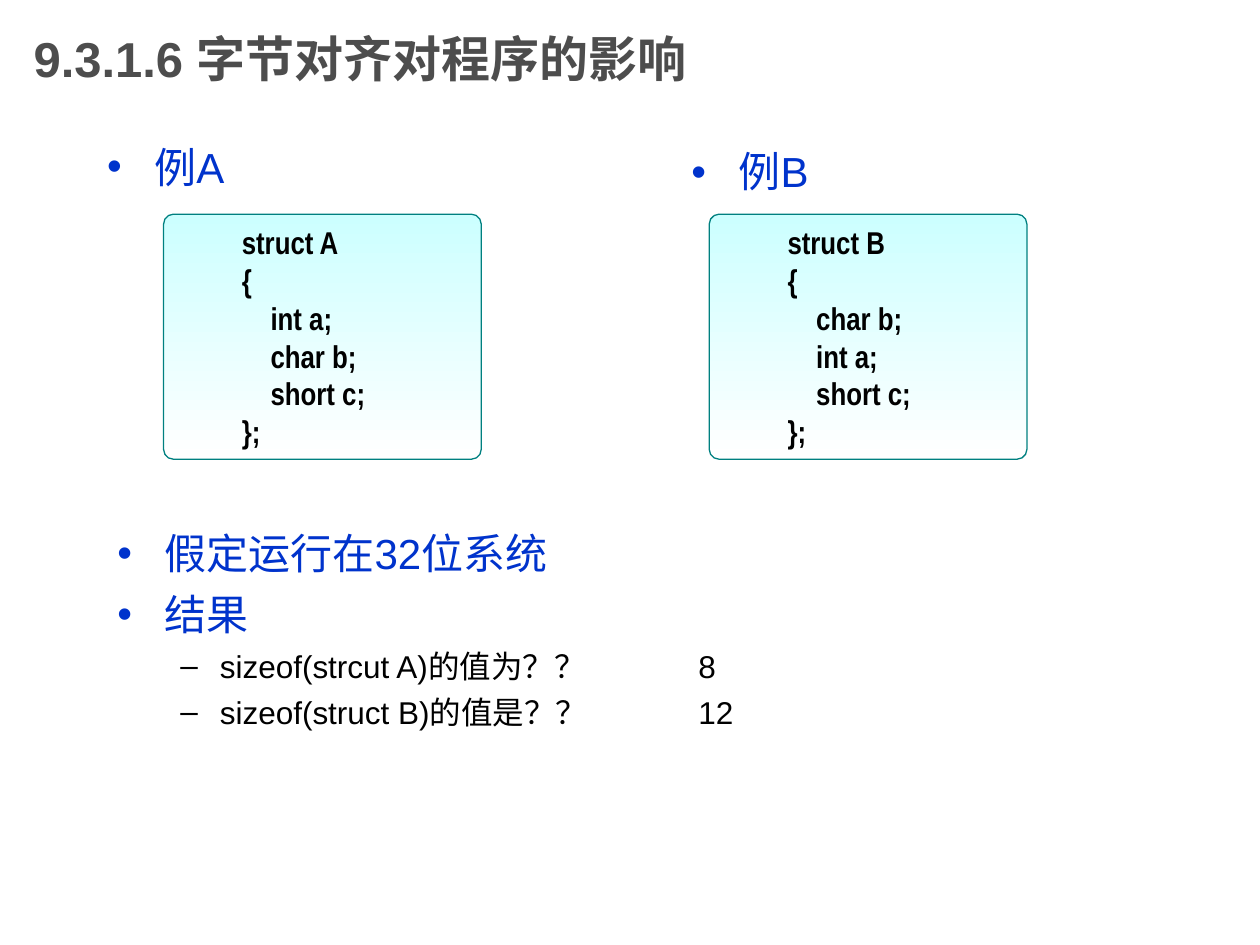
from lxml.etree import SubElement
from pptx import Presentation
from pptx.dml.color import RGBColor
from pptx.enum.shapes import MSO_SHAPE as Preset
from pptx.enum.text import MSO_ANCHOR as Anchor, MSO_AUTO_SIZE as AutoSize, PP_ALIGN as Align
from pptx.oxml.ns import qn
from pptx.util import Pt

COLORS = {
    "title": "4D4D4D",
    "topic": "0033CC",
    "text": "000000",
    "code_top": "CCFFFF",
    "code_bottom": "FFFFFF",
    "code_border": "008080",
}
# Per list level: bullet, left margin, hanging indent, size, space before, colour
LEVELS = [
    ("•", 27, 27, 24, 6, "topic"),
    ("–", 58.5, 22.5, 18, 4.5, "text"),
]
ANSWER_TAB = 332
CODE_INDENT = 36


def rgb(key):
    return RGBColor.from_string(COLORS[key])


class LessonSlide:
    def __init__(self, deck):
        self.slide = deck.slides.add_slide(deck.slide_layouts[1])

    def place(self, shape, left, top, width, height):
        shape.left, shape.top = Pt(left), Pt(top)
        shape.width, shape.height = Pt(width), Pt(height)

    def prepare(self, frame, anchor=Anchor.TOP):
        frame.word_wrap = True
        frame.auto_size = AutoSize.NONE
        frame.vertical_anchor = anchor
        frame.margin_left = frame.margin_right = Pt(7.2)
        frame.margin_top = frame.margin_bottom = Pt(3.6)

    def style(self, paragraph, size, color, name="Arial", bold=False):
        paragraph.alignment = Align.LEFT
        font = paragraph.font
        font.name, font.size, font.bold = name, Pt(size), bold
        font.color.rgb = rgb(color)

    def title(self, text, box):
        heading = self.slide.shapes.title
        self.place(heading, *box)
        self.prepare(heading.text_frame, Anchor.MIDDLE)
        heading.text_frame.text = text
        self.style(heading.text_frame.paragraphs[0], 28, "title", bold=True)

    def add_bullet(self, paragraph, level):
        bullet, margin, hanging, _, _, color = LEVELS[level]
        props = paragraph._p.get_or_add_pPr()
        props.set("marL", str(Pt(margin)))
        props.set("indent", str(-Pt(hanging)))
        bullet_color = SubElement(props, qn("a:buClr"))
        SubElement(bullet_color, qn("a:srgbClr"), val=COLORS[color])
        SubElement(props, qn("a:buFont"), typeface="Arial")
        SubElement(props, qn("a:buChar"), char=bullet)
        if "\t" in paragraph.text:
            tabs = SubElement(props, qn("a:tabLst"))
            SubElement(tabs, qn("a:tab"), pos=str(Pt(ANSWER_TAB)), algn="l")

    def bullets(self, items, box, holder=None, line_spacing=1.0):
        """Fill the holder, or a new text box, with (level, text) items."""
        holder = holder or self.slide.shapes.add_textbox(0, 0, 0, 0)
        self.place(holder, *box)
        frame = holder.text_frame
        self.prepare(frame)
        frame.text = "\n".join(text for _, text in items)
        for i, (paragraph, (level, _)) in enumerate(zip(frame.paragraphs, items)):
            _, _, _, size, space, color = LEVELS[level]
            paragraph.level = level
            self.add_bullet(paragraph, level)
            paragraph.line_spacing = line_spacing
            paragraph.space_before = Pt(space if i else 0)
            self.style(paragraph, size, color)

    def code(self, lines, left):
        panel = self.slide.shapes.add_shape(
            Preset.ROUNDED_RECTANGLE, Pt(left), Pt(122.4), Pt(181.5), Pt(140))
        panel.adjustments[0] = 0.04
        panel.shadow.inherit = False
        panel.fill.gradient()
        panel.fill.gradient_angle = 270
        for stop, position, color in zip(
                panel.fill.gradient_stops, (0, 1), ("code_top", "code_bottom")):
            stop.position = position
            stop.color.rgb = rgb(color)
        panel.line.color.rgb = rgb("code_border")
        panel.line.width = Pt(0.75)
        self.prepare(panel.text_frame)
        panel.text_frame.text = "\n".join(lines)
        for paragraph in panel.text_frame.paragraphs:
            paragraph._p.get_or_add_pPr().set("marL", str(Pt(CODE_INDENT)))
            self.style(paragraph, 18, "text", "Arial Narrow", bold=True)


def main():
    deck = Presentation()
    deck.slide_width, deck.slide_height = Pt(720), Pt(540)
    lesson = LessonSlide(deck)
    lesson.title("9.3.1.6 字节对齐对程序的影响", (12, 0, 540, 66))
    lesson.bullets([(0, "例A")], (54, 77, 249, 187),
                   holder=lesson.slide.placeholders[1])
    lesson.bullets([(0, "例B")], (388, 83, 249, 158), line_spacing=0.9)
    lesson.bullets([
        (0, "假定运行在32位系统"),
        (0, "结果"),
        (1, "sizeof(strcut A)的值为？？\t8"),
        (1, "sizeof(struct B)的值是？？\t12"),
    ], (60, 298, 572, 156))

    examples = [
        ("A", ["int a;", "char b;", "short c;"], 93.5),
        ("B", ["char b;", "int a;", "short c;"], 405.3),
    ]
    for name, members, left in examples:
        body = ["    " + member for member in members]
        lesson.code([f"struct {name}", "{", *body, "};"], left)
    deck.save("out.pptx")


if __name__ == "__main__":
    main()
